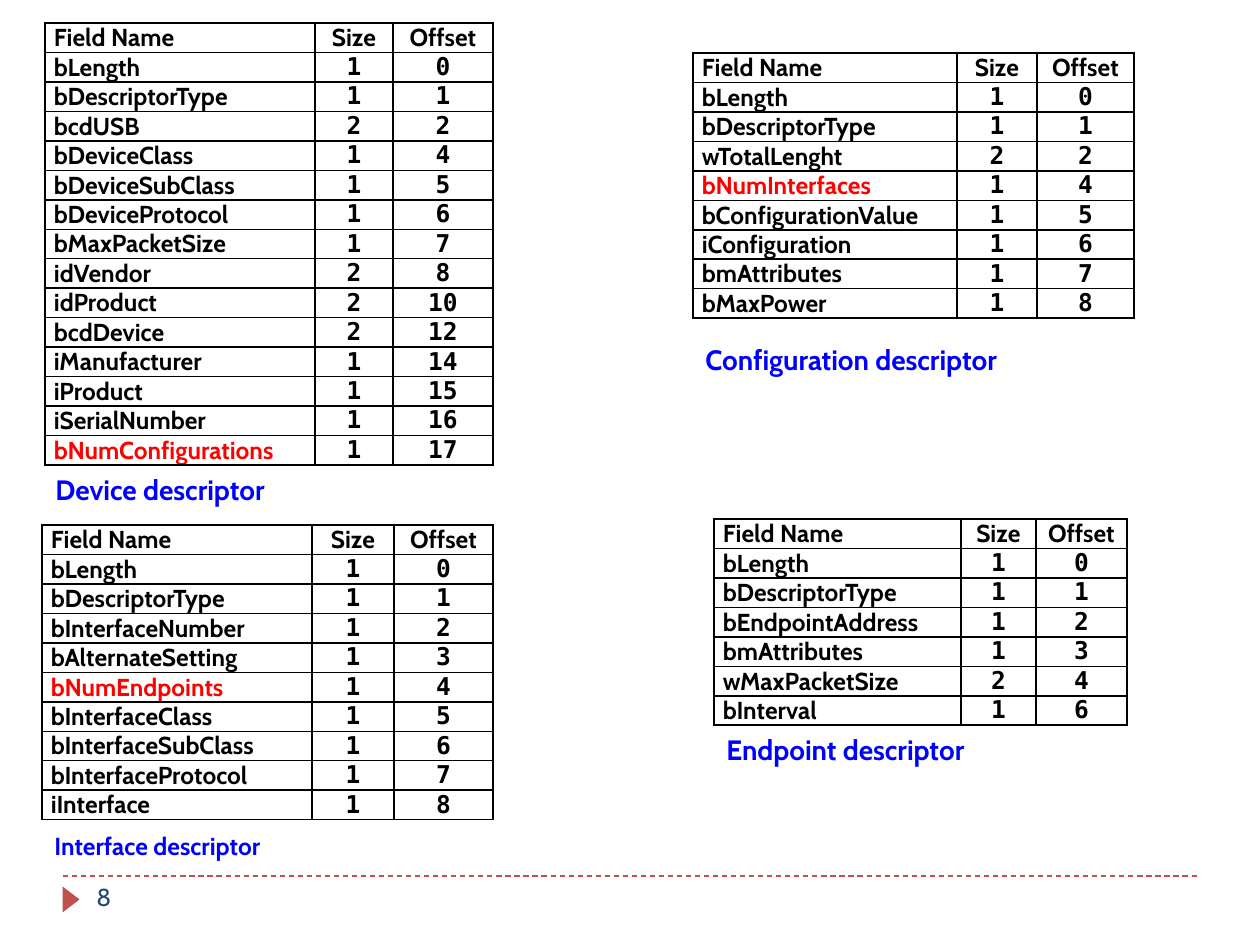
from dataclasses import dataclass
from itertools import accumulate

from lxml import etree
from pptx import Presentation
from pptx.dml.color import RGBColor
from pptx.enum.dml import MSO_LINE
from pptx.enum.shapes import MSO_CONNECTOR, MSO_SHAPE
from pptx.enum.text import MSO_AUTO_SIZE, PP_ALIGN
from pptx.oxml.ns import qn
from pptx.util import Emu, Pt

LEFT, CENTER = PP_ALIGN.LEFT, PP_ALIGN.CENTER
STRAIGHT = MSO_CONNECTOR.STRAIGHT
TRIANGLE = MSO_SHAPE.ISOSCELES_TRIANGLE
DASH = MSO_LINE.DASH
FIT_TEXT = MSO_AUTO_SIZE.SHAPE_TO_FIT_TEXT

EMU_PER_PX = 914400 / 126
SLIDE_WIDTH, SLIDE_HEIGHT = 1260, 945
ROW_HEIGHT = 29
CELL_INSET = 9
HEADER = ("Field Name", "Size", "Offset")


@dataclass(frozen=True)
class Theme:
    text: str = "000000"
    highlight: str = "FF0000"
    caption: str = "0000FF"
    accent: str = "C0504D"
    page: str = "1F497D"
    font: str = "Cabin"
    number_font: str = "DejaVu Sans Mono"
    body_size: int = 14
    caption_size: int = 16
    border: float = 1
    rule: float = 0.75


def px(value):
    return Emu(round(value * EMU_PER_PX))


class SlideBuilder:
    def __init__(self, slide, theme):
        self.slide = slide
        self.theme = theme

    def style(self, paragraph, color, size, bold=False, font=None, align=LEFT):
        paragraph.alignment = align
        paragraph.font.name = font or self.theme.font
        paragraph.font.size = Pt(size)
        paragraph.font.bold = bold
        paragraph.font.color.rgb = RGBColor.from_string(color)

    def text(self, text, left, top, width, height, color, size, bold=False, fit=False):
        box = self.slide.shapes.add_textbox(px(left), px(top), px(width), px(height))
        frame = box.text_frame
        frame.word_wrap = True
        if fit:
            frame.auto_size = FIT_TEXT
        frame.text = text
        self.style(frame.paragraphs[0], color, size, bold)

    def caption(self, text, left, top, size):
        self.text(text, left, top, 383, 46, self.theme.caption, size, bold=True, fit=True)

    def rule(self, left, right, top):
        line = self.slide.shapes.add_connector(
            STRAIGHT, px(left), px(top), px(right), px(top))
        line.line.color.rgb = RGBColor.from_string(self.theme.accent)
        line.line.width = Pt(self.theme.rule)
        line.line.dash_style = DASH
        etree.SubElement(line._element.spPr, qn("a:effectLst"))

    def marker(self, left, top, width, height):
        shape = self.slide.shapes.add_shape(
            TRIANGLE, px(left), px(top), px(width), px(height))
        shape.rotation = 90
        shape.shadow.inherit = False
        shape.fill.solid()
        shape.fill.fore_color.rgb = RGBColor.from_string(self.theme.accent)
        shape.line.fill.background()

    def borders(self, cell):
        properties = cell._tc.get_or_add_tcPr()
        for index, side in enumerate(("lnL", "lnR", "lnT", "lnB")):
            line = etree.Element(qn(f"a:{side}"), w=str(Pt(self.theme.border)))
            fill = etree.SubElement(line, qn("a:solidFill"))
            etree.SubElement(fill, qn("a:srgbClr"), val=self.theme.text)
            properties.insert(index, line)

    def cell(self, cell, text, color, font, align):
        cell.margin_left = cell.margin_right = px(CELL_INSET)
        cell.margin_top = cell.margin_bottom = 0
        cell.fill.background()
        self.borders(cell)
        cell.text = text
        self.style(cell.text_frame.paragraphs[0], color, self.theme.body_size,
                   True, font, align)

    def descriptor(self, left, top, widths, fields, highlighted=None):
        sizes = [size for _, size in fields]
        offsets = accumulate(sizes[:-1], initial=0)
        rows = [HEADER] + [
            (name, str(size), str(offset))
            for (name, size), offset in zip(fields, offsets)]
        table = self.slide.shapes.add_table(
            len(rows), len(widths), px(left), px(top),
            px(sum(widths)), px(ROW_HEIGHT * len(rows))).table
        table.first_row = table.horz_banding = False
        for column, width in zip(table.columns, widths):
            column.width = px(width)
        for row_index, row in enumerate(rows):
            table.rows[row_index].height = px(ROW_HEIGHT)
            for column_index, text in enumerate(row):
                is_number = row_index > 0 and column_index > 0
                self.cell(
                    table.cell(row_index, column_index), text,
                    self.theme.highlight if text == highlighted else self.theme.text,
                    self.theme.number_font if is_number else self.theme.font,
                    CENTER if column_index else LEFT)


INTERFACE_FIELDS = [
    ("bLength", 1), ("bDescriptorType", 1), ("bInterfaceNumber", 1),
    ("bAlternateSetting", 1), ("bNumEndpoints", 1), ("bInterfaceClass", 1),
    ("bInterfaceSubClass", 1), ("bInterfaceProtocol", 1), ("iInterface", 1)]
ENDPOINT_FIELDS = [
    ("bLength", 1), ("bDescriptorType", 1), ("bEndpointAddress", 1),
    ("bmAttributes", 1), ("wMaxPacketSize", 2), ("bInterval", 1)]
CONFIGURATION_FIELDS = [
    ("bLength", 1), ("bDescriptorType", 1), ("wTotalLenght", 2),
    ("bNumInterfaces", 1), ("bConfigurationValue", 1), ("iConfiguration", 1),
    ("bmAttributes", 1), ("bMaxPower", 1)]
DEVICE_FIELDS = [
    ("bLength", 1), ("bDescriptorType", 1), ("bcdUSB", 2), ("bDeviceClass", 1),
    ("bDeviceSubClass", 1), ("bDeviceProtocol", 1), ("bMaxPacketSize", 1),
    ("idVendor", 2), ("idProduct", 2), ("bcdDevice", 2), ("iManufacturer", 1),
    ("iProduct", 1), ("iSerialNumber", 1), ("bNumConfigurations", 1)]


def main():
    presentation = Presentation()
    presentation.slide_width = px(SLIDE_WIDTH)
    presentation.slide_height = px(SLIDE_HEIGHT)
    slide = presentation.slides.add_slide(presentation.slide_layouts[6])
    theme = Theme()
    builder = SlideBuilder(slide, theme)

    builder.rule(63, 1197, 876)
    builder.marker(58, 891, 26, 17)
    builder.text("8", 84, 876, 273, 50, theme.page, theme.body_size)

    builder.descriptor(42, 525, (270, 82, 99), INTERFACE_FIELDS, "bNumEndpoints")
    builder.descriptor(714, 519, (247, 75, 91), ENDPOINT_FIELDS)
    builder.descriptor(693, 53, (264, 80, 97), CONFIGURATION_FIELDS, "bNumInterfaces")
    builder.descriptor(45, 23, (270, 78, 100), DEVICE_FIELDS, "bNumConfigurations")

    builder.caption("Device descriptor", 43, 466, theme.caption_size)
    builder.caption("Configuration descriptor", 693, 336, theme.caption_size)
    builder.caption("Interface descriptor", 42, 825, theme.body_size)
    builder.caption("Endpoint descriptor", 714, 726, theme.caption_size)

    presentation.save("out.pptx")


if __name__ == "__main__":
    main()
